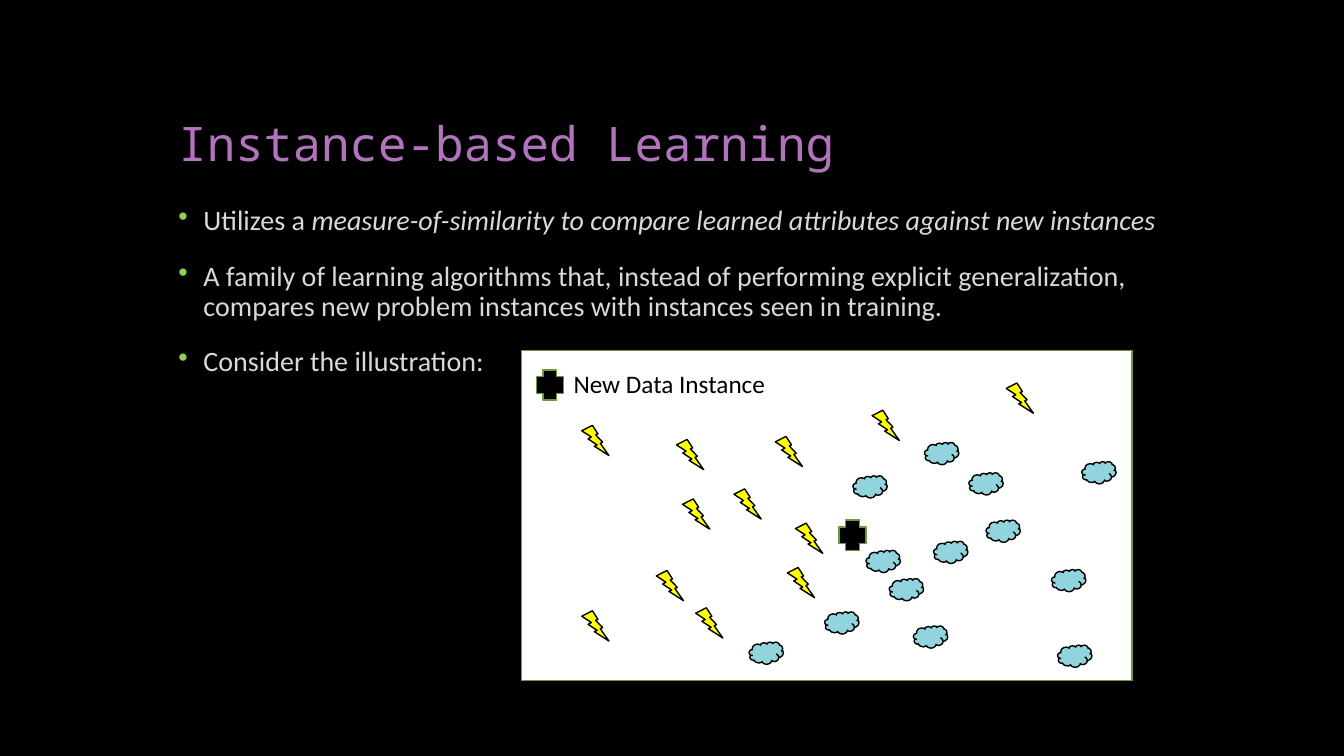
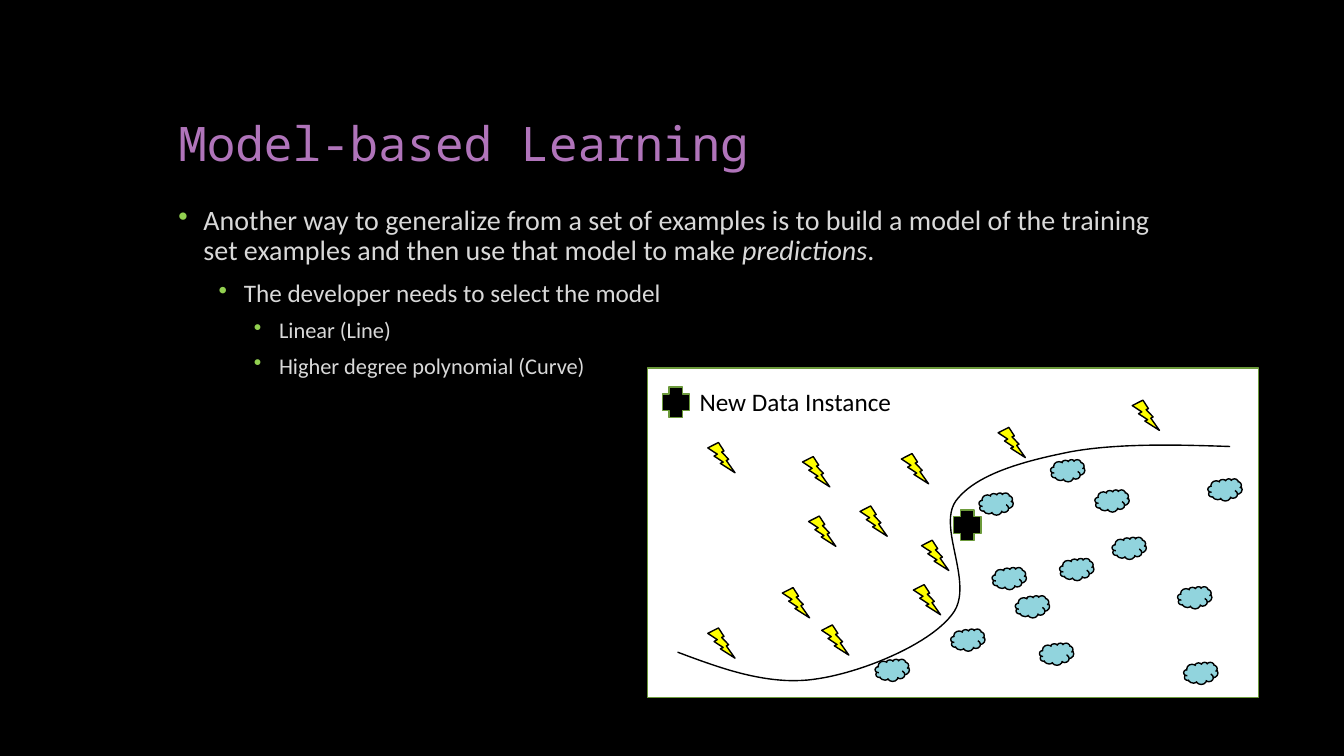
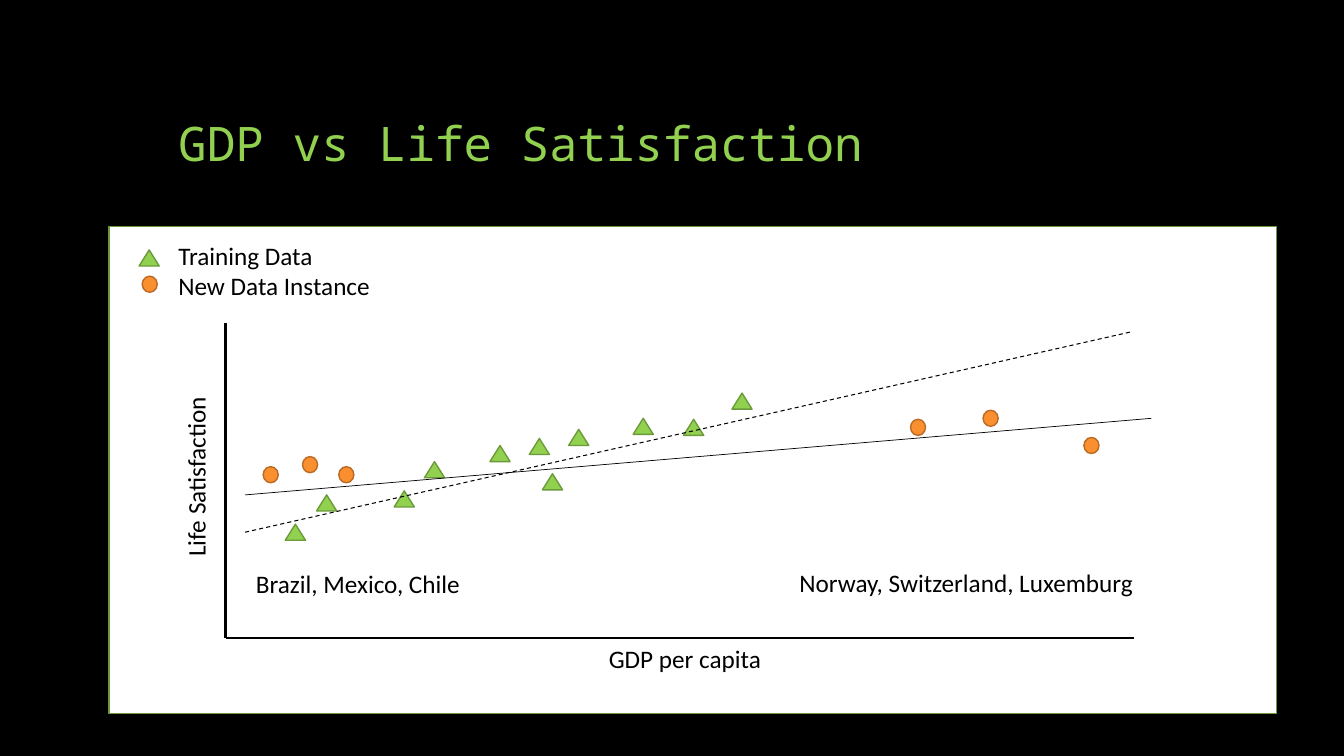
from lxml.etree import SubElement
from pptx import Presentation
from pptx.dml.color import RGBColor
from pptx.enum.dml import MSO_LINE
from pptx.enum.shapes import MSO_CONNECTOR, MSO_SHAPE
from pptx.enum.text import MSO_ANCHOR, MSO_AUTO_SIZE, PP_ALIGN
from pptx.oxml.ns import qn
from pptx.util import Emu, Pt

PX = 9144
BLACK = RGBColor(0x00, 0x00, 0x00)
WHITE = RGBColor(0xFF, 0xFF, 0xFF)
PURPLE = RGBColor(0xB0, 0x74, 0xBA)
GREEN = RGBColor(0x92, 0xD0, 0x50)
DARK_GREEN = RGBColor(0x6C, 0x9A, 0x3B)
LIGHT_GREY = RGBColor(0xD9, 0xD9, 0xD9)
YELLOW = RGBColor(0xFF, 0xFF, 0x00)
SKY = RGBColor(0x91, 0xD4, 0xDD)
ORANGE = RGBColor(0xFA, 0x8F, 0x30)
DARK_ORANGE = RGBColor(0xB9, 0x6A, 0x24)

TITLE_FONT = "Noto Sans Mono"
BODY_FONT = "Calibri"
TITLE_BOX = (167, 50, 1000, 125)
BODY_BOX = (167, 200, 1000, 467)
LEVELS = [(25, 20, 18), (65, 18, 10), (100, 16, 8)]
HANGING = 25

BOLT = (MSO_SHAPE.LIGHTNING_BOLT, 27, 30, YELLOW, BLACK)
CLOUD = (MSO_SHAPE.CLOUD, 34, 22, SKY, BLACK)
PLUS = (MSO_SHAPE.CROSS, 27, 30, BLACK, DARK_GREEN)
TRAINING = (MSO_SHAPE.ISOSCELES_TRIANGLE, 20, 16, GREEN, DARK_GREEN)
NEW_INSTANCE = (MSO_SHAPE.OVAL, 15, 16, ORANGE, DARK_ORANGE)

BOLT_SPOTS = [
    (272, 171), (264, 215), (348, 59), (60, 74), (154, 88), (134, 218),
    (160, 147), (60, 258), (252, 85), (211, 137), (173, 255), (481, 32),
]
CLOUD_SPOTS = [
    (342, 198), (329, 124), (365, 226), (301, 259), (444, 121), (532, 292),
    (226, 289), (461, 168), (400, 91), (409, 189), (389, 273), (556, 110),
    (526, 217),
]
TRAINING_SPOTS = [
    (30, 23), (417, 210), (456, 201), (378, 217), (283, 262), (570, 191),
    (175, 295), (618, 165), (313, 233), (206, 266), (430, 245), (520, 190),
]
NEW_INSTANCE_SPOTS = [
    (33, 49), (153, 238), (192, 228), (228, 238), (795, 191), (867, 182),
    (967, 209),
]
BOUNDARY = [
    (30, 282), (75, 299), (120, 315), (165, 309),
    (211, 303), (279, 275), (302, 245),
    (326, 216), (287, 159), (306, 132),
    (326, 105), (375, 92), (421, 83),
    (466, 75), (522, 76), (578, 78),
]
CURVE_STEPS = 24


def emu(*lengths):
    return [Emu(length * PX) for length in lengths]


def set_font(paragraph, name, size, colour):
    paragraph.font.name = name
    paragraph.font.size = Pt(size)
    paragraph.font.color.rgb = colour


def add_titled_slide(deck, text, colour):
    slide = deck.slides.add_slide(deck.slide_layouts[5])
    title = slide.shapes.title
    title.left, title.top, title.width, title.height = emu(*TITLE_BOX)
    frame = title.text_frame
    frame.text = text
    frame.auto_size = MSO_AUTO_SIZE.NONE
    frame.vertical_anchor = MSO_ANCHOR.BOTTOM
    heading = frame.paragraphs[0]
    heading.alignment = PP_ALIGN.LEFT
    heading.line_spacing = 0.9
    set_font(heading, TITLE_FONT, 34, colour)
    return slide


def add_bullets(slide, box, items):
    frame = slide.shapes.add_textbox(*emu(*box)).text_frame
    frame.word_wrap = True
    for index, (level, runs) in enumerate(items):
        bullet = frame.paragraphs[0] if index == 0 else frame.add_paragraph()
        indent, size, space_before = LEVELS[level]
        bullet.level = level
        bullet.line_spacing = 0.9
        if index:
            bullet.space_before = Pt(space_before)
        properties = bullet._p.get_or_add_pPr()
        properties.set("marL", str(indent * PX))
        properties.set("indent", str(-HANGING * PX))
        bullet_colour = SubElement(properties, qn("a:buClr"))
        SubElement(bullet_colour, qn("a:srgbClr"), val=str(GREEN))
        SubElement(properties, qn("a:buChar"), char="•")
        set_font(bullet, BODY_FONT, size, LIGHT_GREY)
        for text, italic in runs:
            run = bullet.add_run()
            run.text = text
            if italic:
                run.font.italic = True


def add_label(slide, box, *lines, rotation=0):
    label = slide.shapes.add_textbox(*emu(*box))
    label.rotation = rotation
    frame = label.text_frame
    frame.word_wrap = True
    frame.text = "\n".join(lines)
    for paragraph in frame.paragraphs:
        set_font(paragraph, BODY_FONT, 18, BLACK)


def add_mark(slide, mark, left, top):
    kind, width, height, fill, outline = mark
    shape = slide.shapes.add_shape(kind, *emu(left, top, width, height))
    shape.shadow.inherit = False
    shape.fill.solid()
    shape.fill.fore_color.rgb = fill
    shape.line.color.rgb = outline
    shape.line.width = Pt(1)


def add_marks(slide, left, top, mark, spots):
    for x, y in spots:
        add_mark(slide, mark, left + x, top + y)


def add_panel(slide, box):
    left, top, width, height = box
    add_mark(slide, (MSO_SHAPE.RECTANGLE, width, height, WHITE, DARK_GREEN), left, top)


def add_line(slide, start, end, weight, dash=None):
    line = slide.shapes.add_connector(MSO_CONNECTOR.STRAIGHT, *emu(*start, *end))
    line.line.color.rgb = BLACK
    line.line.width = Pt(weight)
    if dash:
        line.line.dash_style = dash
    SubElement(line._element.spPr, qn("a:effectLst"))


def add_illustration(slide, box, new_instance):
    left, top = box[:2]
    add_panel(slide, box)
    add_marks(slide, left, top, BOLT, BOLT_SPOTS)
    add_marks(slide, left, top, CLOUD, CLOUD_SPOTS)
    add_label(slide, (left + 42, top + 13, 251, 40), "New Data Instance")
    add_marks(slide, left, top, PLUS, [(15, 19), new_instance])


def bezier(controls, t):
    weights = ((1 - t) ** 3, 3 * t * (1 - t) ** 2, 3 * t ** 2 * (1 - t), t ** 3)
    return tuple(
        sum(weight * point[axis] for weight, point in zip(weights, controls))
        for axis in (0, 1)
    )


def add_boundary(slide, left, top):
    points = [BOUNDARY[0]] + [
        bezier(BOUNDARY[first:first + 4], step / CURVE_STEPS)
        for first in range(0, len(BOUNDARY) - 1, 3)
        for step in range(1, CURVE_STEPS + 1)
    ]
    outline = [((left + x) * PX, (top + y) * PX) for x, y in points]
    builder = slide.shapes.build_freeform(*outline[0])
    builder.add_line_segments(outline[1:], close=False)
    boundary = builder.convert_to_shape()
    boundary.shadow.inherit = False
    boundary.fill.background()
    boundary.line.color.rgb = BLACK
    boundary.line.width = Pt(1)


def add_scatter(slide, box):
    left, top = box[:2]

    def at(x, y, *size):
        return (left + x, top + y, *size)

    add_panel(slide, box)
    add_marks(slide, left, top, TRAINING, TRAINING_SPOTS)
    add_label(slide, at(59, 8, 231, 71), "Training Data", "New Data Instance")
    origin = at(116, 408)
    add_line(slide, origin, at(116, 95), 2)
    add_line(slide, origin, at(1017, 408), 2)
    add_marks(slide, left, top, NEW_INSTANCE, NEW_INSTANCE_SPOTS)
    add_label(slide, at(-32, 199, 236, 40), "Life Satisfaction", rotation=270)
    add_label(slide, at(486, 408, 189, 40), "GDP per capita")
    add_line(slide, at(135, 303), at(1015, 104), 0.75, MSO_LINE.DASH)
    add_line(slide, at(135, 266), at(1034, 190), 0.5)
    add_label(slide, at(136, 334, 233, 40), "Brazil, Mexico, Chile")
    add_label(slide, at(675, 333, 381, 40), "Norway, Switzerland, Luxemburg")


def instance_slide(deck):
    slide = add_titled_slide(deck, "Instance-based Learning", PURPLE)
    add_bullets(slide, BODY_BOX, [
        (0, [("Utilizes a ", False),
             ("measure-of-similarity to compare learned attributes against new instances", True)]),
        (0, [("A family of learning algorithms that, instead of performing explicit "
              "generalization, compares new problem instances with instances seen in "
              "training.", False)]),
        (0, [("Consider the illustration:", False)]),
    ])
    add_illustration(slide, (517, 348, 606, 327), (315, 168))


def model_slide(deck):
    slide = add_titled_slide(deck, "Model-based Learning", PURPLE)
    add_bullets(slide, BODY_BOX, [
        (0, [("Another way to generalize from a set of examples is to build a model of "
              "the training set examples and then use that model to make ", False),
             ("predictions", True), (".", False)]),
        (1, [("The developer needs to select the model", False)]),
        (2, [("Linear (Line)", False)]),
        (2, [("Higher degree polynomial (Curve)", False)]),
    ])
    add_illustration(slide, (642, 365, 606, 327), (304, 141))
    add_boundary(slide, 642, 365)


def gdp_slide(deck):
    slide = add_titled_slide(deck, "GDP vs Life Satisfaction", GREEN)
    add_scatter(slide, (108, 225, 1158, 483))


def main():
    deck = Presentation()
    deck.slide_width, deck.slide_height = emu(1333, 750)
    background = deck.slide_master.background.fill
    background.solid()
    background.fore_color.rgb = BLACK
    instance_slide(deck)
    model_slide(deck)
    gdp_slide(deck)
    deck.save("out.pptx")


if __name__ == "__main__":
    main()
